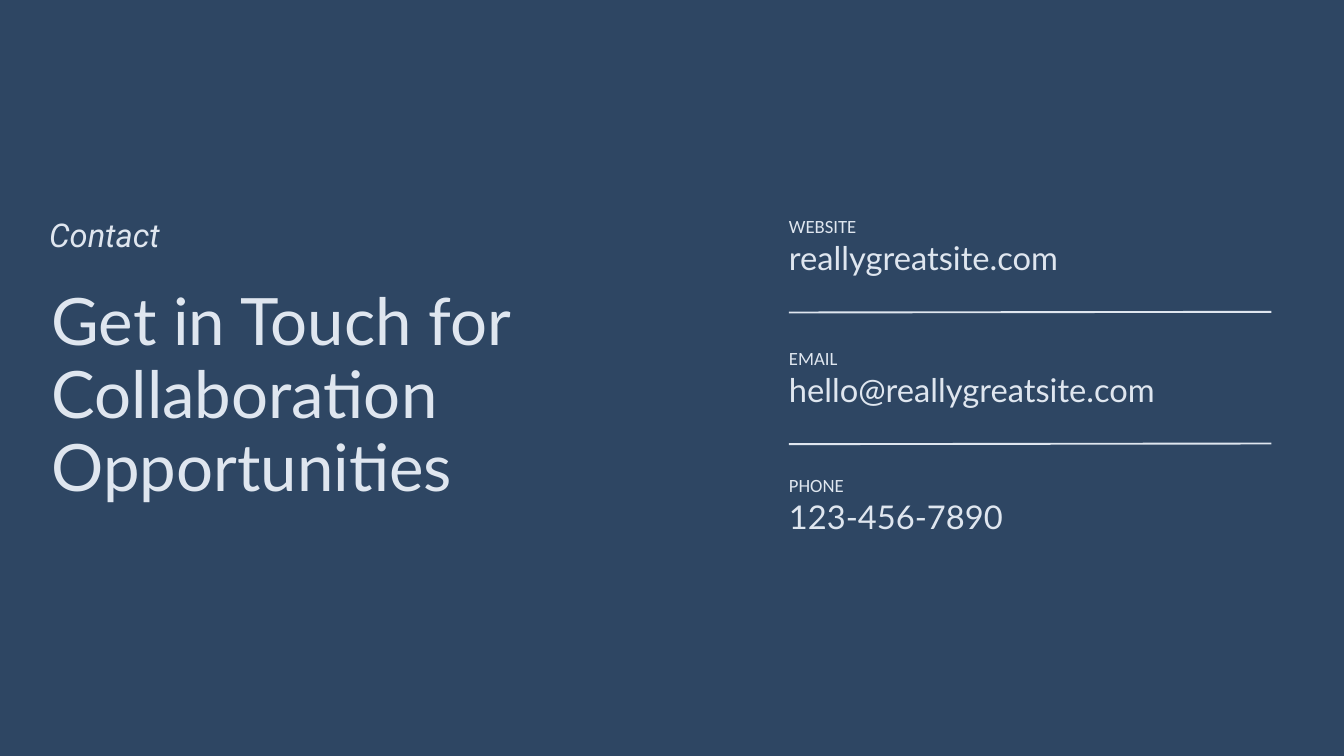
from pptx import Presentation
from pptx.dml.color import RGBColor as RGB
from pptx.enum.shapes import MSO_CONNECTOR as LINK
from pptx.enum.text import MSO_AUTO_SIZE as FIT
from pptx.util import Pt
from lxml import etree

HUES = {"back": "2E4663", "text": "DFE6EF"}
NS = "{http://schemas.openxmlformats.org/drawingml/2006/main}"

# Text formats: leading and font
STYLES = {
    "kicker": (35, {"name": "Roboto", "size": Pt(35), "italic": True}),
    "title": (78.4, {"name": "Lato", "size": Pt(70)}),
    "label": (28, {"name": "Calibri", "size": Pt(20)}),
    "value": (42, {"name": "Lato", "size": Pt(35)}),
}

deck = Presentation()
deck.slide_width, deck.slide_height = Pt(1440), Pt(810)
slide = deck.slides.add_slide(deck.slide_layouts[6])
slide.background.fill.solid()
slide.background.fill.fore_color.rgb = RGB.from_string(HUES["back"])


def write(words, style, left, top, width, height):
    box = slide.shapes.add_textbox(Pt(left), Pt(top), Pt(width), Pt(height))
    frame = box.text_frame
    frame.word_wrap = True
    frame.auto_size = FIT.SHAPE_TO_FIT_TEXT
    for side in ("left", "top", "right", "bottom"):
        setattr(frame, "margin_" + side, 0)
    leading, looks = STYLES[style]
    para = frame.paragraphs[0]
    para.line_spacing = Pt(leading)
    run = para.add_run()
    run.text = words
    for key, value in looks.items():
        setattr(run.font, key, value)
    run.font.color.rgb = RGB.from_string(HUES["text"])


# Contact details on the right
LEFT, WIDTH = 845.28, 516.96
details = [
    (226.1, "WEBSITE", "reallygreatsite.com"),
    (367.7, "EMAIL", "hello@reallygreatsite.com"),
    (503.2, "PHONE", "123-456-7890"),
]
for top, label, value in details:
    write(label, "label", LEFT, top, WIDTH, 28)
    write(value, "value", LEFT, top + 29.1, WIDTH, 41)

# Rules between the details
for top in (334.8, 475.9):
    rule = slide.shapes.add_connector(
        LINK.STRAIGHT, Pt(LEFT), Pt(top), Pt(LEFT + WIDTH), Pt(top - 0.7))
    rule.line.width = Pt(2)
    rule.line.color.rgb = RGB.from_string(HUES["text"])
    etree.SubElement(rule._element.spPr, NS + "effectLst")

# Heading on the left
write("Get in Touch for Collaboration Opportunities", "title",
      55.4, 305.3, 652.3, 236.2)
write("Contact", "kicker", 52.6, 236.9, 652.3, 38.2)

deck.save("out.pptx")
